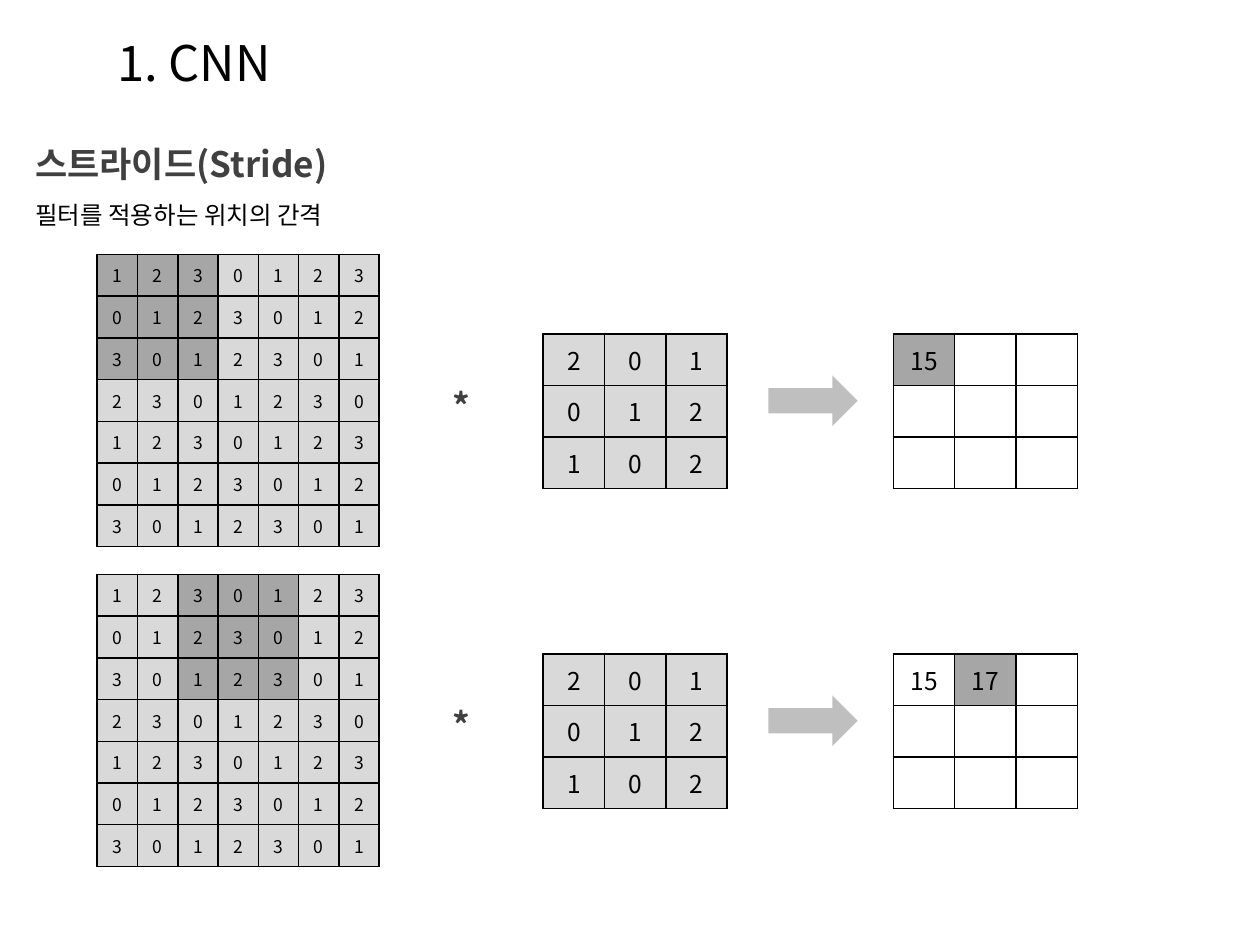
"""Build a slide that shows how stride moves a filter over a CNN input."""
from dataclasses import dataclass

from lxml.etree import SubElement
from pptx import Presentation
from pptx.dml.color import RGBColor
from pptx.enum.shapes import MSO_SHAPE as Preset
from pptx.enum.text import MSO_ANCHOR as Anchor, MSO_AUTO_SIZE as AutoSize, PP_ALIGN as Align
from pptx.oxml.ns import qn
from pptx.util import Cm, Pt

FONT = "Noto Sans CJK KR"
COLORS = {"ink": "000000", "heading": "404040", "active": "A6A6A6",
          "grid": "D9D9D9", "arrow": "BFBFBF", "empty": "FFFFFF"}
INPUT = [[(1 + column - row) % 4 for column in range(7)] for row in range(7)]
FILTER = [[2, 0, 1], [0, 1, 2], [1, 0, 2]]
WINDOW = 3
STRIDE = 2
STEP_PITCH = 6.45


@dataclass(frozen=True)
class Box:
    left: float
    top: float
    width: float
    height: float

    def lowered(self, offset: float) -> "Box":
        return Box(self.left, self.top + offset, self.width, self.height)

    def lengths(self) -> tuple:
        return Cm(self.left), Cm(self.top), Cm(self.width), Cm(self.height)


@dataclass(frozen=True)
class Grid:
    box: Box
    size: int
    inset_x: float
    inset_y: float
    fill: str


@dataclass(frozen=True)
class Step:
    position: int
    results: tuple


INPUT_GRID = Grid(Box(1.96, 5.13, 5.69, 5.89), 10, 0.16, 0.08, "grid")
FILTER_GRID = Grid(Box(10.95, 6.73, 3.71, 3.12), 14, 0.2, 0.1, "grid")
OUTPUT_GRID = Grid(Box(18.01, 6.73, 3.71, 3.12), 14, 0.2, 0.1, "empty")
OPERATOR_BOX = Box(8, 7.57, 2.59, 1.02)
ARROW_BOX = Box(15.49, 7.57, 1.8, 1.02)
STEPS = [Step(0, (15,)), Step(1, (15, 17))]


def color(name: str) -> RGBColor:
    return RGBColor.from_string(COLORS[name])


def write(frame, text: str, *, size: int, ink: str = "ink", bold: bool = False,
          align=Align.LEFT, spacing: float = 1.0) -> None:
    para = frame.paragraphs[0]
    para.alignment = align
    para.line_spacing = spacing
    span = para.add_run()
    span.text = text
    span.font.size = Pt(size)
    span.font.bold = bold
    span.font.name = FONT
    span.font.color.rgb = color(ink)
    SubElement(span.font._element, qn("a:ea"), typeface=FONT)


def add_text(page, box: Box, text: str, *, inset_x: float = 0, grow: bool = True,
             **style) -> None:
    frame = page.shapes.add_textbox(*box.lengths()).text_frame
    frame.word_wrap = True
    frame.auto_size = AutoSize.SHAPE_TO_FIT_TEXT if grow else AutoSize.NONE
    frame.vertical_anchor = Anchor.MIDDLE
    frame.margin_left = frame.margin_right = Cm(inset_x)
    frame.margin_top = frame.margin_bottom = 0
    write(frame, text, **style)


def add_borders(cell) -> None:
    properties = cell._tc.get_or_add_tcPr()
    for side in ("lnL", "lnR", "lnT", "lnB"):
        line = SubElement(properties, qn(f"a:{side}"), w=str(Pt(1)))
        fill = SubElement(line, qn("a:solidFill"))
        SubElement(fill, qn("a:srgbClr"), val=COLORS["ink"])


def add_grid(page, grid: Grid, values: list, active: set, offset: float) -> None:
    rows, columns = len(values), len(values[0])
    box = grid.box.lowered(offset)
    table = page.shapes.add_table(rows, columns, *box.lengths()).table
    table.first_row = table.horz_banding = False
    for column in table.columns:
        column.width = Cm(box.width / columns)
    for row in table.rows:
        row.height = Cm(box.height / rows)
    for row, line in enumerate(values):
        for column, value in enumerate(line):
            cell = table.cell(row, column)
            cell.vertical_anchor = Anchor.MIDDLE
            cell.margin_left = cell.margin_right = Cm(grid.inset_x)
            cell.margin_top = cell.margin_bottom = Cm(grid.inset_y)
            add_borders(cell)
            cell.fill.solid()
            cell.fill.fore_color.rgb = color("active" if (row, column) in active else grid.fill)
            if value is not None:
                write(cell.text_frame, str(value), size=grid.size, align=Align.CENTER)


def add_arrow(page, box: Box) -> None:
    arrow = page.shapes.add_shape(Preset.RIGHT_ARROW, *box.lengths())
    arrow.shadow.inherit = False
    arrow.fill.solid()
    arrow.fill.fore_color.rgb = color("arrow")
    arrow.line.fill.background()


def add_step(page, step: Step, offset: float) -> None:
    start = step.position * STRIDE
    window = {(row, start + column) for row in range(WINDOW) for column in range(WINDOW)}
    output = [[None] * WINDOW for _ in range(WINDOW)]
    output[0][:len(step.results)] = step.results
    add_grid(page, INPUT_GRID, INPUT, window, offset)
    add_text(page, OPERATOR_BOX.lowered(offset), "*", size=20, ink="heading", bold=True,
             align=Align.CENTER, spacing=1.2)
    add_grid(page, FILTER_GRID, FILTER, set(), offset)
    add_arrow(page, ARROW_BOX.lowered(offset))
    add_grid(page, OUTPUT_GRID, output, {(0, step.position)}, offset)


def main() -> None:
    deck = Presentation()
    deck.slide_width, deck.slide_height = Cm(25.4), Cm(19.05)
    page = deck.slides.add_slide(deck.slide_layouts[6])
    add_text(page, Box(2.11, 0.53, 19, 1.45), "1. CNN", size=28, inset_x=0.25, grow=False)
    add_text(page, Box(0.71, 2.51, 24, 1.14), "스트라이드(Stride)", size=20,
             ink="heading", bold=True, spacing=1.5)
    add_text(page, Box(0.71, 3.78, 24, 0.79), "필터를 적용하는 위치의 간격", size=14, spacing=1.5)
    for index, step in enumerate(STEPS):
        add_step(page, step, index * STEP_PITCH)
    deck.save("out.pptx")


if __name__ == "__main__":
    main()
